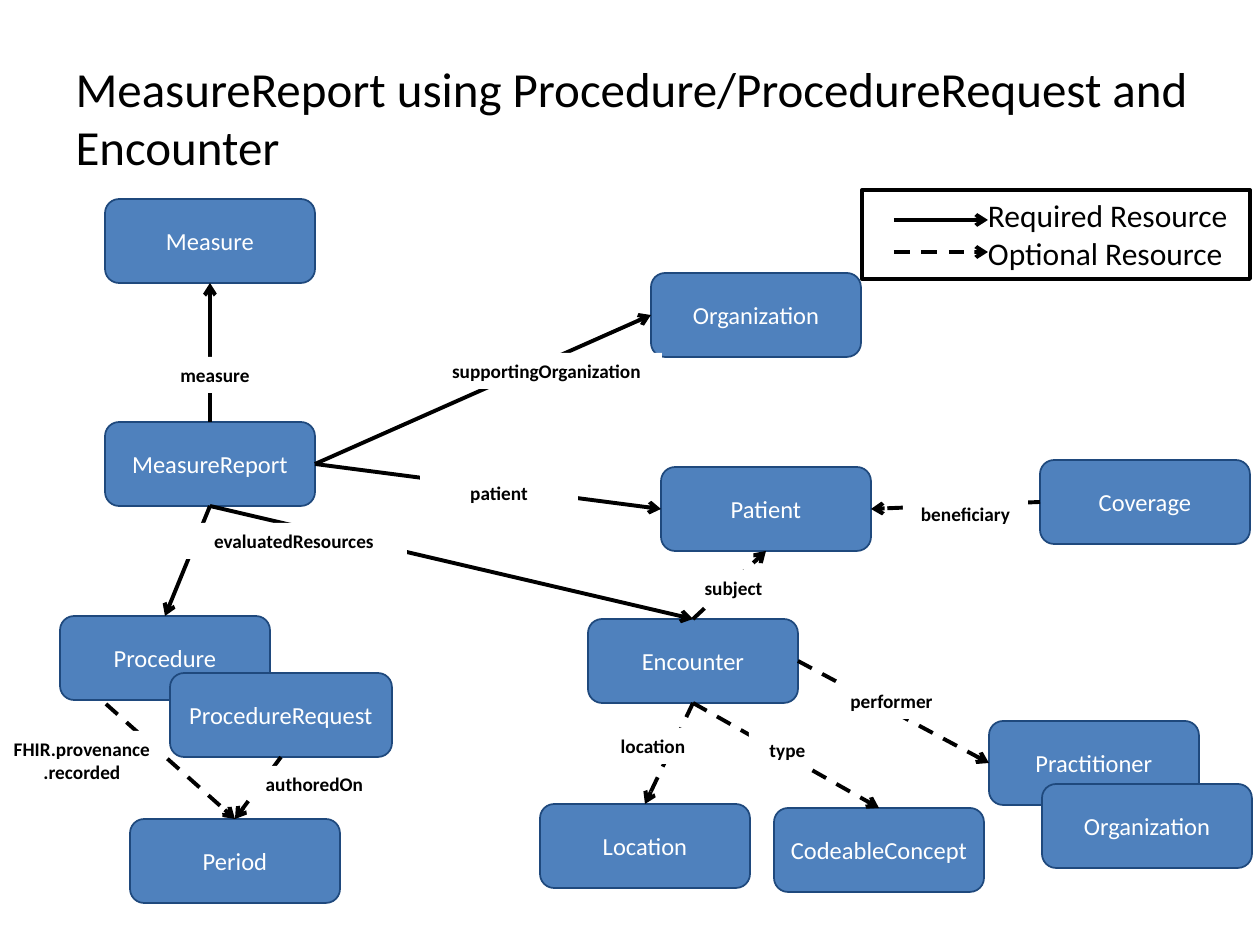
from lxml.etree import SubElement
from pptx import Presentation
from pptx.dml.color import RGBColor
from pptx.enum.dml import MSO_LINE_DASH_STYLE as Dash
from pptx.enum.shapes import MSO_CONNECTOR_TYPE as Connector, MSO_SHAPE as Shape
from pptx.enum.text import MSO_ANCHOR as Anchor, MSO_AUTO_SIZE as AutoSize, PP_ALIGN as Align
from pptx.oxml.ns import qn
from pptx.util import Pt

COLORS = {"ink": "000000", "paper": "FFFFFF", "node": "4F81BD", "edge": "1F497D"}
FONT = "Calibri"
TOP, LEFT, BOTTOM, RIGHT = range(4)


def px(length):
    return round(length * 914400 / 126)


def color(name):
    return RGBColor.from_string(COLORS[name])


def write(frame, *lines, size=14, ink="ink", bold=False, align=Align.CENTER,
          anchor=Anchor.MIDDLE):
    frame.word_wrap = True
    frame.auto_size = AutoSize.NONE
    frame.vertical_anchor = anchor
    for index, line in enumerate(lines):
        para = frame.add_paragraph() if index else frame.paragraphs[0]
        para.alignment = align
        span = para.add_run()
        span.text = line
        span.font.name = FONT
        span.font.size = Pt(size)
        span.font.bold = bold
        span.font.color.rgb = color(ink)


class Diagram:
    def __init__(self, deck):
        self.page = deck.slides.add_slide(deck.slide_layouts[5])
        self.shapes = self.page.shapes

    def title(self, text, x, y, width, height):
        box = self.shapes.title
        box.left, box.top, box.width, box.height = map(px, (x, y, width, height))
        write(box.text_frame, text, size=28, align=Align.LEFT)

    def rect(self, kind, x, y, width, height, fill=None, edge=None, weight=1):
        box = self.shapes.add_shape(kind, *map(px, (x, y, width, height)))
        box.shadow.inherit = False
        if fill:
            box.fill.solid()
            box.fill.fore_color.rgb = color(fill)
        else:
            box.fill.background()
        if edge:
            box.line.color.rgb = color(edge)
            box.line.width = Pt(weight)
        else:
            box.line.fill.background()
        return box

    def node(self, text, x, y, width=210, height=84):
        box = self.rect(Shape.FLOWCHART_ALTERNATE_PROCESS, x, y, width, height,
                        "node", "edge")
        write(box.text_frame, text, ink="paper")
        return box

    def label(self, text, x, y, width, height=36):
        box = self.rect(Shape.RECTANGLE, x, y, width, height, "paper")
        write(box.text_frame, text, size=11, bold=True, anchor=Anchor.TOP)

    def arrow(self, start, end, dashed=False):
        """Each end is a point (x, y) or a joint (box, side)."""
        line = self.shapes.add_connector(Connector.STRAIGHT, 0, 0, 0, 0)
        if isinstance(start[0], int):
            line.begin_x, line.begin_y = map(px, start)
        else:
            line.begin_connect(*start)
        if isinstance(end[0], int):
            line.end_x, line.end_y = map(px, end)
        else:
            line.end_connect(*end)
        line.line.color.rgb = color("ink")
        line.line.width = Pt(2.25)
        if dashed:
            line.line.dash_style = Dash.DASH
        SubElement(line.line._get_or_add_ln(), qn("a:tailEnd"), type="arrow")
        SubElement(line._element.spPr, qn("a:effectLst"))

    def legend(self, x, y, width, height):
        box = self.rect(Shape.RECTANGLE, x, y, width, height, edge="ink", weight=2.25)
        box.text_frame.margin_left = px(126)
        write(box.text_frame, "Required Resource", "Optional Resource",
              size=18, align=Align.LEFT, anchor=Anchor.TOP)
        for offset, dashed in ((30, False), (62, True)):
            self.arrow((x + 32, y + offset), (x + 126, y + offset), dashed)


def main():
    deck = Presentation()
    deck.slide_width, deck.slide_height = px(1260), px(945)
    diagram = Diagram(deck)
    diagram.title("MeasureReport using Procedure/ProcedureRequest and Encounter",
                  63, 38, 1166, 158)

    # Resources
    measure = diagram.node("Measure", 105, 199)
    report = diagram.node("MeasureReport", 105, 422)
    organization = diagram.node("Organization", 651, 273)
    patient = diagram.node("Patient", 661, 467)
    coverage = diagram.node("Coverage", 1040, 460)
    encounter = diagram.node("Encounter", 588, 619)
    location = diagram.node("Location", 540, 804)
    concept = diagram.node("CodeableConcept", 774, 808)
    practitioner = diagram.node("Practitioner", 989, 721)
    diagram.node("Organization", 1042, 784)
    procedure = diagram.node("Procedure", 60, 616)
    request = diagram.node("ProcedureRequest", 170, 673, width=222)
    period = diagram.node("Period", 130, 819)

    # Required references
    for start, end in (
        ((report, TOP), (measure, BOTTOM)),
        ((report, RIGHT), (organization, LEFT)),
        ((report, RIGHT), (patient, LEFT)),
        ((report, BOTTOM), (encounter, TOP)),
        ((report, BOTTOM), (procedure, TOP)),
    ):
        diagram.arrow(start, end)

    # Optional references
    for start, end in (
        ((coverage, LEFT), (patient, RIGHT)),
        ((encounter, TOP), (patient, BOTTOM)),
        ((encounter, RIGHT), (practitioner, LEFT)),
        ((encounter, BOTTOM), (location, TOP)),
        ((encounter, BOTTOM), (concept, TOP)),
        ((request, BOTTOM), (period, TOP)),
        ((106, 704), (period, TOP)),
    ):
        diagram.arrow(start, end, dashed=True)

    # Reference names
    for text, *place in (
        ("measure", 136, 357, 158),
        ("supportingOrganization", 431, 353, 231),
        ("patient", 420, 475, 158),
        ("beneficiary", 903, 496, 125),
        ("subject", 687, 570, 93),
        ("performer", 832, 683, 119),
        ("location", 598, 728, 110),
        ("type", 749, 732, 77),
        ("authoredOn", 253, 766, 123),
        ("FHIR.provenance.recorded", 0, 731, 164, 59),
        ("evaluatedResources", 181, 523, 226),
    ):
        diagram.label(text, *place)

    diagram.legend(862, 190, 388, 89)
    deck.save("out.pptx")


if __name__ == "__main__":
    main()
